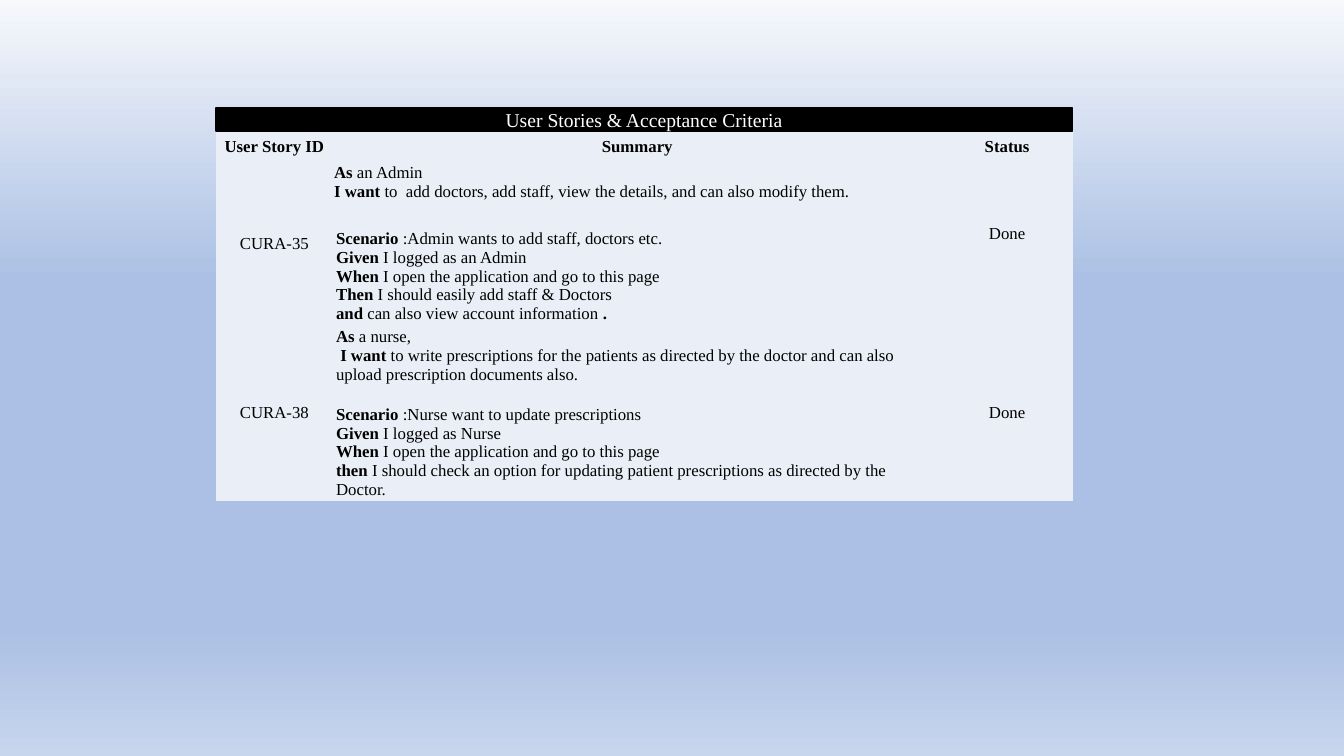
"""Build the user stories and acceptance criteria slide."""
from pptx import Presentation
from pptx.dml.color import RGBColor
from pptx.enum.shapes import MSO_SHAPE
from pptx.enum.text import MSO_ANCHOR, PP_ALIGN
from pptx.oxml import parse_xml
from pptx.oxml.ns import nsdecls
from pptx.util import Cm, Pt

RECT = MSO_SHAPE.RECTANGLE
MIDDLE, TOP = MSO_ANCHOR.MIDDLE, MSO_ANCHOR.TOP
CENTER, LEFT = PP_ALIGN.CENTER, PP_ALIGN.LEFT

COLORS = {"black": "000000", "white": "FFFFFF", "cell": "EAEFF7",
          "sky": "F6F8FC", "blue": "ABC0E4", "haze": "C7D5ED"}
BACKGROUND = [(0, "sky"), (37, "blue"), (83, "blue"), (100, "haze")]
FONT = "Times New Roman"
NO_STYLE = "{2D5ABB26-0587-4C30-8999-92F81FD0307C}"

TABLE_LEFT, TABLE_TOP, TITLE_TOP = 5.44, 3.3, 2.72
COLUMNS = [2.95, 15.34, 3.3]
ROWS = [0.79, 1.63, 2.49, 1.96, 2.44]
MARGINS = {"margin_left": Cm(0.08), "margin_right": Cm(0.08),
           "margin_top": Cm(0.05), "margin_bottom": Cm(0.05)}
TIGHT = {"margin_left": Cm(0.03), "margin_right": Cm(0.03),
         "margin_top": Cm(0.03), "margin_bottom": 0}

HEADERS = ["User Story ID", "Summary", "Status"]
STORIES = [
    {"id": "CURA-35", "status": "Done",
     "story": [[("As", True), (" an Admin", False)],
               [("I want ", True),
                ("to  add doctors, add staff, view the details, and can also modify them.", False)]],
     "story_format": TIGHT,
     "status_format": {"margin_bottom": Cm(0.55)},
     "scenario": [[("Scenario", True), (" :Admin wants to add staff, doctors etc.", False)],
                  [("Given", True), (" I logged as an Admin", False)],
                  [("When", True), (" I open the application and go to this page", False)],
                  [("Then ", True), ("I should easily add staff & Doctors", False)],
                  [("and ", True), ("can also view account information ", False), (".", True)]]},
    {"id": "CURA-38", "status": "Done",
     "story": [[("As", True), (" a nurse,", False)],
               [(" ", False), ("I want ", True),
                ("to write prescriptions for the patients as directed by the doctor "
                 "and can also upload prescription documents also.", False)]],
     "story_format": {},
     "status_format": {},
     "scenario": [[("Scenario", True), (" :Nurse want to update prescriptions", False)],
                  [("Given", True), (" I logged as Nurse", False)],
                  [("When", True), (" I open the application and go to this page", False)],
                  [("then", True),
                   (" I should check an option for updating patient prescriptions "
                    "as directed by the Doctor.", False)]]},
]


def rgb(name):
    return RGBColor.from_string(COLORS[name])


def set_attrs(obj, formats):
    for name, value in formats.items():
        setattr(obj, name, value)


def set_background(s):
    stops = "".join(f'<a:gs pos="{pos * 1000}"><a:srgbClr val="{COLORS[name]}"/></a:gs>'
                    for pos, name in BACKGROUND)
    bg = parse_xml(f'<p:bg {nsdecls("p", "a")}><p:bgPr><a:gradFill rotWithShape="1">'
                   f'<a:gsLst>{stops}</a:gsLst><a:lin ang="5400000" scaled="0"/>'
                   '</a:gradFill><a:effectLst/></p:bgPr></p:bg>')
    s._element.cSld.insert(0, bg)


def write_text(tf, paragraphs, align, size=12, color="black"):
    for i, runs in enumerate(paragraphs):
        p = tf.add_paragraph() if i else tf.paragraphs[0]
        p.alignment = align
        for text, bold in runs:
            r = p.add_run()
            r.text = text
            set_attrs(r.font, {"name": FONT, "size": Pt(size), "bold": bold})
            r.font.color.rgb = rgb(color)


def fill_cell(cell, paragraphs, align=CENTER, formats=None):
    set_attrs(cell, {"vertical_anchor": MIDDLE, **MARGINS, **(formats or {})})
    write_text(cell.text_frame, paragraphs, align)


def add_title_bar(s, text):
    sp = s.shapes.add_shape(RECT, Cm(TABLE_LEFT), Cm(TITLE_TOP),
                            Cm(sum(COLUMNS)), Cm(TABLE_TOP - TITLE_TOP))
    sp.shadow.inherit = False
    sp.fill.solid()
    sp.fill.fore_color.rgb = rgb("black")
    sp.line.color.rgb = rgb("black")
    sp.line.width = Pt(1)
    sp.text_frame.vertical_anchor = MIDDLE
    write_text(sp.text_frame, [[(text, False)]], CENTER, 14, "white")


def add_story_table(s):
    frame = s.shapes.add_table(len(ROWS), len(COLUMNS), Cm(TABLE_LEFT), Cm(TABLE_TOP),
                               Cm(sum(COLUMNS)), Cm(sum(ROWS)))
    table = frame.table
    set_attrs(table, {"first_row": False, "horz_banding": False})
    frame._element.xpath(".//a:tableStyleId")[0].text = NO_STYLE
    for column, width in zip(table.columns, COLUMNS):
        column.width = Cm(width)
    for row, height in zip(table.rows, ROWS):
        row.height = Cm(height)
    for cell in table.iter_cells():
        cell.fill.solid()
        cell.fill.fore_color.rgb = rgb("cell")
    for col, header in enumerate(HEADERS):
        fill_cell(table.cell(0, col), [[(header, True)]])
    for i, story in enumerate(STORIES):
        row = 1 + 2 * i
        for col in (0, 2):
            table.cell(row, col).merge(table.cell(row + 1, col))
        fill_cell(table.cell(row, 0), [[(story["id"], False)]])
        fill_cell(table.cell(row, 1), story["story"], LEFT,
                  {"vertical_anchor": TOP, **story["story_format"]})
        fill_cell(table.cell(row + 1, 1), story["scenario"], LEFT)
        fill_cell(table.cell(row, 2), [[(story["status"], False)]],
                  formats=story["status_format"])


def main():
    prs = Presentation()
    prs.slide_width, prs.slide_height = Cm(33.87), Cm(19.05)
    s = prs.slides.add_slide(prs.slide_layouts[6])
    set_background(s)
    add_story_table(s)
    add_title_bar(s, "User Stories & Acceptance Criteria")
    prs.save("out.pptx")


if __name__ == "__main__":
    main()
